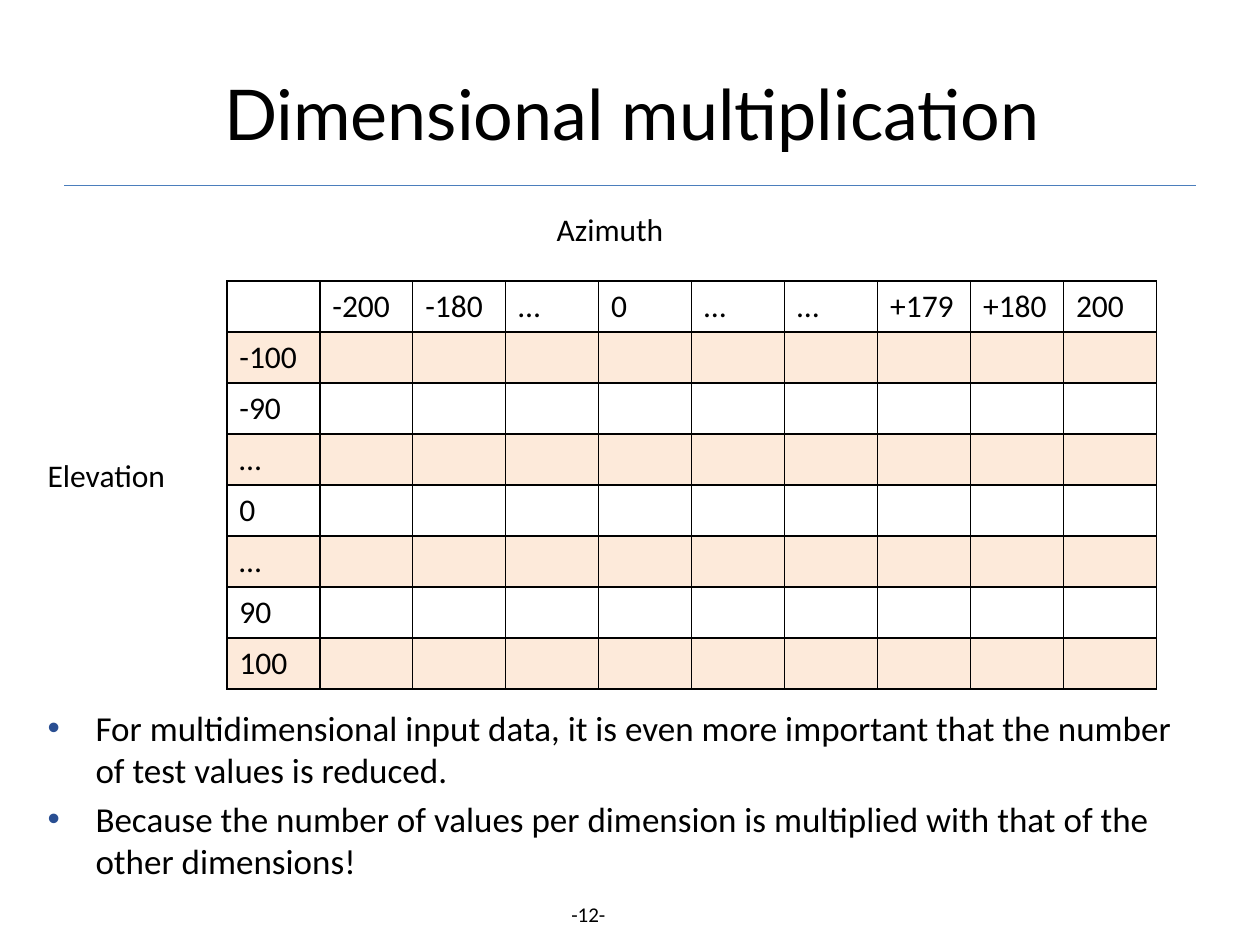
from lxml.etree import SubElement
from pptx import Presentation
from pptx.dml.color import RGBColor as RGB
from pptx.enum.shapes import MSO_CONNECTOR as Connector
from pptx.enum.text import MSO_ANCHOR as Anchor, PP_ALIGN as Align
from pptx.oxml.ns import qn
from pptx.util import Inches, Pt

COLORS = {"text": "000000", "rule": "4B7EBC", "band": "F79646", "bullet": "294E92"}
WIDTH, HEIGHT = Inches(10), Inches(7.5)
COLUMN, ROW = WIDTH / 100, HEIGHT / 75  # grid of 0.1 inch squares


def place(left, top, width, height):
    return [round(n) for n in (left * COLUMN, top * ROW, width * COLUMN, height * ROW)]


def write(paragraph, text, size, font="Calibri", align=Align.LEFT):
    run = paragraph.add_run()
    run.text = text
    paragraph.alignment = align
    for name, value in {"size": Pt(size), "name": font}.items():
        setattr(run.font, name, value)
    run.font.color.rgb = RGB.from_string(COLORS["text"])


deck = Presentation()
deck.slide_width, deck.slide_height = WIDTH, HEIGHT
slide = deck.slides.add_slide(deck.slide_layouts[5])

# Title and the rule below it
title = slide.shapes.title
for name, value in zip(("left", "top", "width", "height"), place(9.8, 2.7, 80.7, 12.5)):
    setattr(title, name, value)
title.text_frame.vertical_anchor = Anchor.MIDDLE
write(title.text_frame.paragraphs[0], "Dimensional multiplication", 40, "Lato", Align.CENTER)

left, top, width, _ = place(5.1, 14.7, 89.8, 0)
rule = slide.shapes.add_connector(Connector.STRAIGHT, left, top, left + width, top)
rule.line.color.rgb = RGB.from_string(COLORS["rule"])
rule.line.width = Pt(0.75)
SubElement(rule._element.spPr, qn("a:effectLst"))

# Axis names and page number
labels = [
    ("Azimuth", (43.2, 16.2, 14, 4), 18, Align.LEFT),
    ("Elevation", (2.8, 35.7, 14, 4), 18, Align.LEFT),
    ("-12-", (44.2, 71.1, 5, 3), 12, Align.CENTER),
]
for text, area, size, align in labels:
    label = slide.shapes.add_textbox(*place(*area)).text_frame
    label.word_wrap = True
    write(label.paragraphs[0], text, size, align=align)

# Table of azimuth against elevation
azimuths = ["-200", "-180", "…", "0", "…", "…", "+179", "+180", "200"]
elevations = ["-100", "-90", "…", "0", "…", "90", "100"]
rows = [["", *azimuths]] + [[elevation] + [""] * len(azimuths) for elevation in elevations]
table = slide.shapes.add_table(
    len(rows), len(rows[0]), *place(18, 22.3, 73.8, 32.4)).table
table.first_row = table.horz_banding = False

for r, values in enumerate(rows):
    for c, value in enumerate(values):
        cell = table.cell(r, c)
        if value:
            write(cell.text_frame.paragraphs[0], value, 18)
        properties = cell._tc.get_or_add_tcPr()
        for edge in ("lnL", "lnR", "lnT", "lnB"):
            border = SubElement(properties, qn(f"a:{edge}"), w=str(Pt(1)))
            SubElement(SubElement(border, qn("a:solidFill")), qn("a:srgbClr"), val=COLORS["text"])
        if r % 2:
            cell.fill.solid()
            cell.fill.fore_color.rgb = RGB.from_string(COLORS["band"])
            tint = properties.find(qn("a:solidFill")).find(qn("a:srgbClr"))
            SubElement(tint, qn("a:alpha"), val="20000")
        else:
            cell.fill.background()

# Conclusions
conclusions = [
    "For multidimensional input data, it is even more important that the number "
    "of test values is reduced.",
    "Because the number of values per dimension is multiplied with that of the "
    "other dimensions!",
]
body = slide.shapes.add_textbox(*place(2.8, 55.6, 92.2, 15)).text_frame
body.word_wrap = True
for i, conclusion in enumerate(conclusions):
    paragraph = body.add_paragraph() if i else body.paragraphs[0]
    write(paragraph, conclusion, 20)
    paragraph.space_before = Pt(4)
    bullet = paragraph._p.get_or_add_pPr()
    for name, value in {"marL": Inches(0.38), "indent": Inches(-0.38)}.items():
        bullet.set(name, str(value))
    SubElement(SubElement(bullet, qn("a:buClr")), qn("a:srgbClr"), val=COLORS["bullet"])
    SubElement(bullet, qn("a:buFont"), typeface="Arial")
    SubElement(bullet, qn("a:buChar"), char="•")

deck.save("out.pptx")
